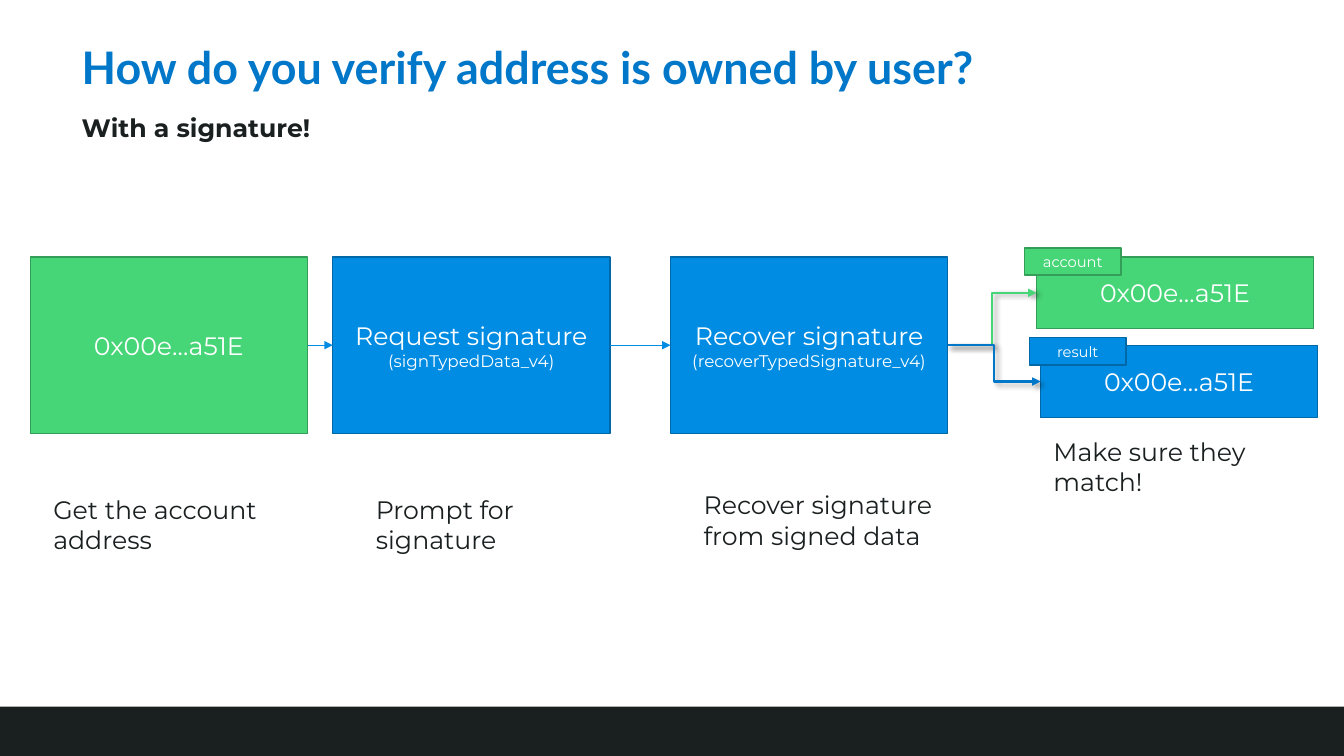
from pptx import Presentation
from pptx import util as u
from pptx.dml.color import RGBColor
from pptx.enum import shapes as sh, text as tx
from pptx.oxml import parse_xml
from pptx.oxml.ns import nsdecls


class Theme:
    ink, white, head = "1A1F20", "FFFFFF", "0077C8"
    green, blue = ("46D577", "349E58"), ("008CE2", "0068A7")  # fill, edge
    font, title_font = "Montserrat", "Lato"
    title, body, note, tag = 32, 18, 12, 10.5


# Content
TITLE = "How do you verify address is owned by user?"
LEAD = "With a signature!"
ADDR = "0x00e…a51E"
# Boxes: key -> left, top, width, height, colours, lines of (text, size)
BIG, SLIM, TAG = (2.75, 1.75), (2.75, 0.71), (0.96, 0.27)
BOXES = {
    "start": (0.3, 2.55, *BIG, Theme.green, [(ADDR, Theme.body)]),
    "ask": (3.3, 2.55, *BIG, Theme.blue,
            [("Request signature", Theme.body), ("(signTypedData_v4)", Theme.note)]),
    "recover": (6.65, 2.55, *BIG, Theme.blue,
                [("Recover signature", Theme.body),
                 ("(recoverTypedSignature_v4)", Theme.note)]),
    "account": (10.28, 2.55, *SLIM, Theme.green, [(ADDR, Theme.body)]),
    "result": (10.32, 3.43, *SLIM, Theme.blue, [(ADDR, Theme.body)]),
}
TAGS = [
    (10.16, 2.46, *TAG, Theme.green, [("account", Theme.tag)]),
    (10.21, 3.35, *TAG, Theme.blue, [("result", Theme.tag)]),
]
# Arrows: from, to, colour, width, bent
ARROWS = [
    ("start", "ask", Theme.blue[0], 0.5, False),
    ("ask", "recover", Theme.blue[0], 0.5, False),
    ("recover", "account", Theme.green[0], 1.5, True),
    ("recover", "result", Theme.head, 1.5, True),
]
CAPTIONS = [
    (0.43, 4.85, "Get the account address"),
    (3.63, 4.85, "Prompt for signature"),
    (6.88, 4.81, "Recover signature from signed data"),
    (10.35, 4.28, "Make sure they match!"),
]
SHADOW = ('<a:outerShdw blurRad="50800" dist="38100" dir="2700000" algn="tl">'
          '<a:srgbClr val="000000"><a:alpha val="40000"/></a:srgbClr></a:outerShdw>')


def rgb(code):
    return RGBColor.from_string(code)


def place(shape, *rect):
    shape.left, shape.top, shape.width, shape.height = map(u.Inches, rect)


def write(para, words, size, color, font=Theme.font, bold=False):
    run = para.add_run()
    run.text = words
    face = run.font
    face.name, face.size, face.bold = font, u.Pt(size), bold
    face.color.rgb = rgb(color)


def add_box(slide, left, top, width, height, colors, lines=()):
    box = slide.shapes.add_shape(sh.MSO_SHAPE.RECTANGLE,
                                 *map(u.Inches, (left, top, width, height)))
    box.shadow.inherit = False
    fill, edge = colors
    box.fill.solid()
    box.fill.fore_color.rgb = rgb(fill)
    if edge:
        box.line.color.rgb = rgb(edge)
        box.line.width = u.Pt(1)
    else:
        box.line.fill.background()
    frame = box.text_frame
    frame.word_wrap = True
    frame.vertical_anchor = tx.MSO_ANCHOR.MIDDLE
    para = frame.paragraphs[0]
    para.alignment = tx.PP_ALIGN.CENTER
    for i, (words, size) in enumerate(lines):
        if i:
            para.add_line_break()
        write(para, words, size, Theme.white)
    return box


def add_arrow(slide, start, end, color, width, bent):
    kind = sh.MSO_CONNECTOR.ELBOW if bent else sh.MSO_CONNECTOR.STRAIGHT
    line = slide.shapes.add_connector(kind, 0, 0, 0, 0)
    line.begin_connect(start, 3)
    line.end_connect(end, 1)
    line.line.color.rgb = rgb(color)
    line.line.width = u.Pt(width)
    line.line._get_or_add_ln().append(
        parse_xml(f'<a:tailEnd {nsdecls("a")} type="triangle"/>'))
    line._element.spPr.append(parse_xml(
        f'<a:effectLst {nsdecls("a")}>{SHADOW if bent else ""}</a:effectLst>'))


def add_caption(slide, left, top, words):
    box = slide.shapes.add_textbox(*map(u.Inches, (left, top, 2.75, 0.71)))
    frame = box.text_frame
    frame.word_wrap = True
    frame.auto_size = tx.MSO_AUTO_SIZE.SHAPE_TO_FIT_TEXT
    write(frame.paragraphs[0], words, Theme.body, Theme.ink)


def main():
    prs = Presentation()
    prs.slide_width, prs.slide_height = u.Inches(13.33), u.Inches(7.5)
    slide = prs.slides.add_slide(prs.slide_layouts[1])

    # Footer band
    add_box(slide, 0, 7.01, 13.33, 0.49, (Theme.ink, None))

    # Title and lead line
    title, body = slide.placeholders
    place(title, 0.71, 0.38, 11.91, 0.62)
    place(body, 0.71, 1, 11.91, 0.71)
    for item, anchor in ((title, tx.MSO_ANCHOR.MIDDLE), (body, tx.MSO_ANCHOR.TOP)):
        item.text_frame.vertical_anchor = anchor
        item.text_frame.auto_size = tx.MSO_AUTO_SIZE.NONE
    para = title.text_frame.paragraphs[0]
    para.alignment, para.line_spacing = tx.PP_ALIGN.LEFT, 0.9
    write(para, TITLE, Theme.title, Theme.head, Theme.title_font, True)
    para = body.text_frame.paragraphs[0]
    para.line_spacing, para.space_before = 1.2, u.Pt(0)
    props = para._p.get_or_add_pPr()
    props.set("marL", "0")
    props.set("indent", "0")
    props.append(parse_xml(f'<a:buNone {nsdecls("a")}/>'))
    write(para, LEAD, Theme.body, Theme.ink, bold=True)

    # Flow: boxes, arrows, captions, tags
    boxes = {key: add_box(slide, *spot) for key, spot in BOXES.items()}
    for start, end, *style in ARROWS:
        add_arrow(slide, boxes[start], boxes[end], *style)
    for caption in CAPTIONS:
        add_caption(slide, *caption)
    for tag in TAGS:
        add_box(slide, *tag)

    prs.save("out.pptx")


if __name__ == "__main__":
    main()
